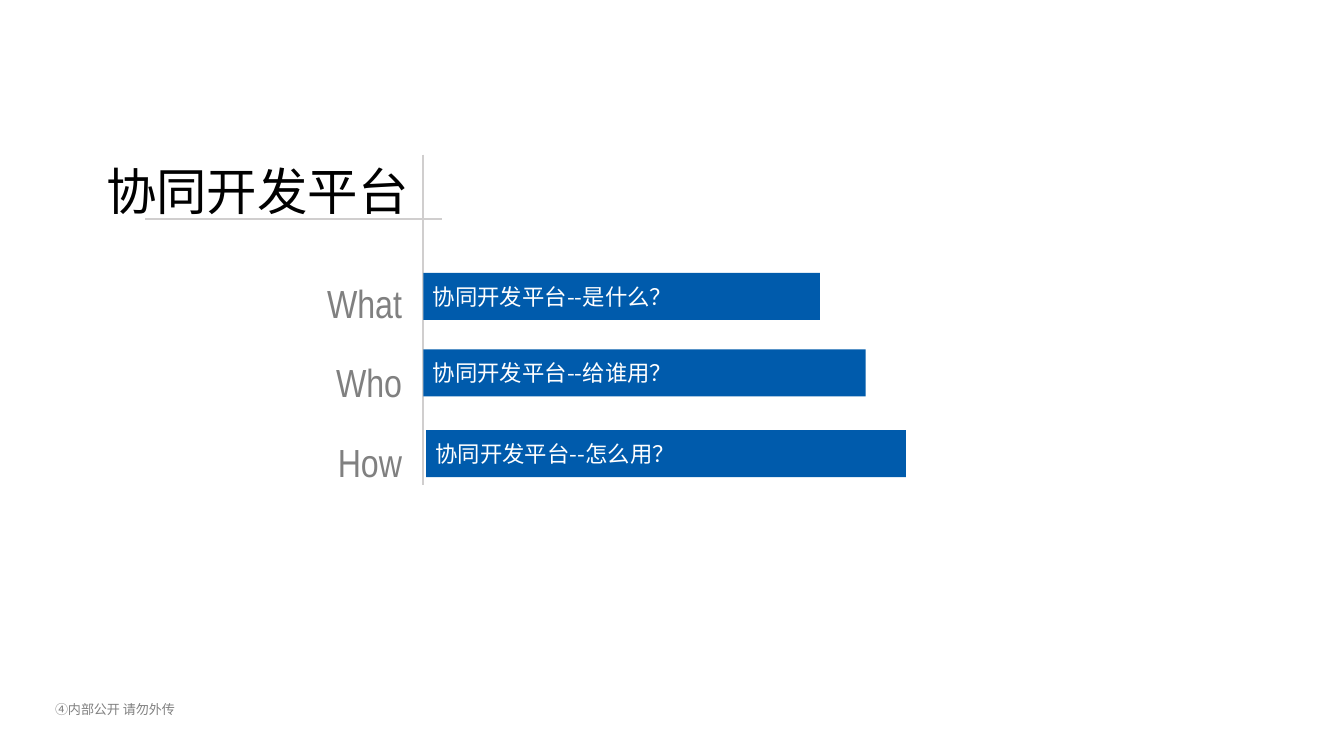
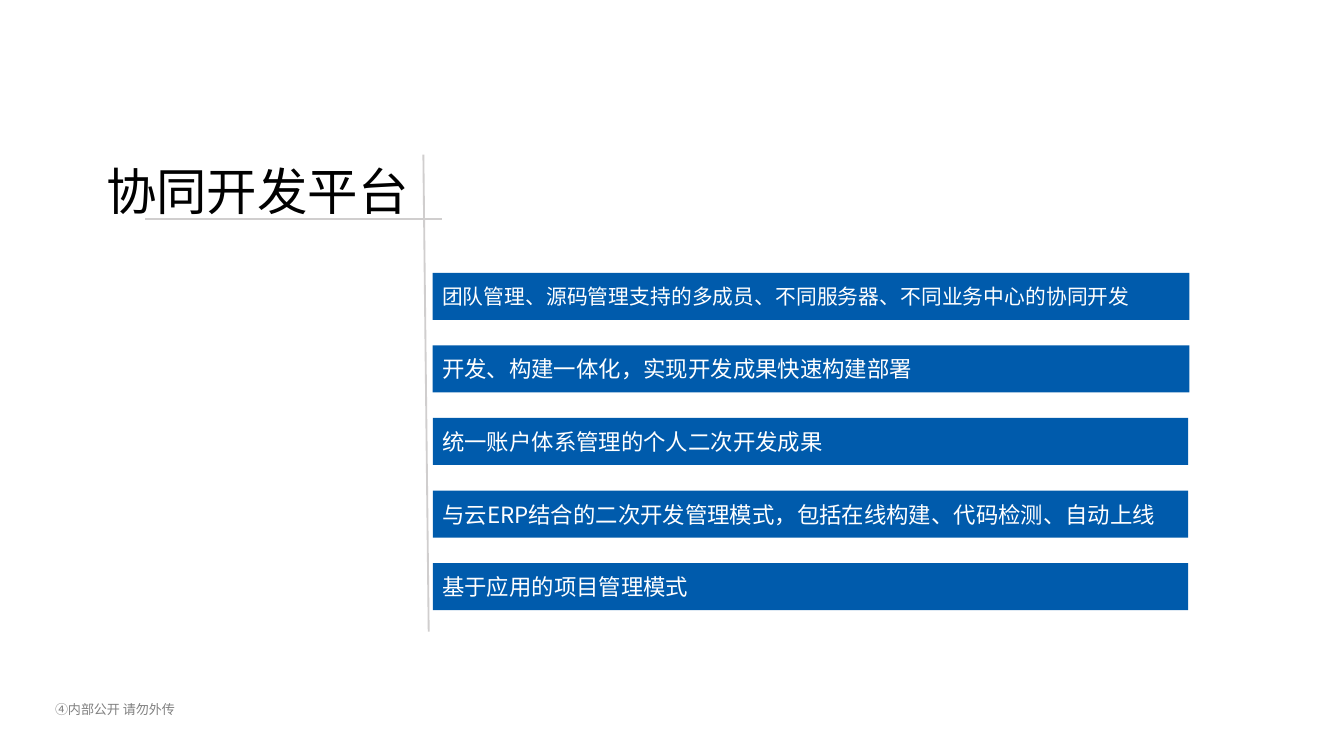
from lxml import etree
from pptx import Presentation
from pptx.dml.color import RGBColor
from pptx.enum.shapes import MSO_CONNECTOR, MSO_SHAPE
from pptx.enum.text import MSO_ANCHOR, MSO_AUTO_SIZE, PP_ALIGN
from pptx.oxml.ns import qn
from pptx.util import Inches, Pt

# Shared style
BLUE = RGBColor(0x00, 0x5B, 0xAC)
GRAY = RGBColor(0x80, 0x80, 0x80)
RULE = RGBColor(0xD0, 0xCE, 0xCE)
BLACK = RGBColor(0x00, 0x00, 0x00)
WHITE = RGBColor(0xFF, 0xFF, 0xFF)
LATIN_FONT = "Arial Narrow"
CHINESE_FONT = "Noto Sans CJK SC"

TITLE = "协同开发平台"
FOOTER = "④内部公开 请勿外传"
AXIS_LEFT, AXIS_TOP = 3.15, 1.15
BAR_TOP, BAR_HEIGHT = 2.03, 0.35

# Slide content: label, label left, label top, label height
QUESTION_LABELS = [
    ("What", 1.45, 1.96, 0.53),
    ("Who", 1.29, 2.55, 0.48),
    ("How", 1.45, 3.14, 0.48),
]
# Question, bar left, bar top, bar width
QUESTION_BARS = [
    ("协同开发平台--是什么？", 3.15, BAR_TOP, 2.95),
    ("协同开发平台--给谁用？", 3.15, 2.6, 3.29),
    ("协同开发平台--怎么用？", 3.17, 3.2, 3.57),
]
# Feature, bar width, text size
FEATURES = [
    ("团队管理、源码管理支持的多成员、不同服务器、不同业务中心的协同开发", 5.63, 11.1),
    ("开发、构建一体化，实现开发成果快速构建部署", 5.63, 12),
    ("统一账户体系管理的个人二次开发成果", 5.62, 12),
    ("与云ERP结合的二次开发管理模式，包括在线构建、代码检测、自动上线", 5.62, 12),
    ("基于应用的项目管理模式", 5.62, 12),
]


def write(shape, text, size, font_name, color, align=PP_ALIGN.LEFT, spacing=None):
    """Fill a shape with one styled paragraph."""
    frame = shape.text_frame
    frame.word_wrap = True
    para = frame.paragraphs[0]
    para.text = text
    para.alignment = align
    para.line_spacing = spacing
    font = para.font
    font.size = Pt(size)
    font.name = font_name
    font.color.rgb = color
    properties = para._p.pPr.find(qn("a:defRPr"))
    etree.SubElement(properties, qn("a:ea")).set("typeface", CHINESE_FONT)
    return frame


def set_insets(frame, horizontal, vertical):
    frame.margin_left = frame.margin_right = Inches(horizontal)
    frame.margin_top = frame.margin_bottom = Inches(vertical)


def add_footer(page):
    box = page.shapes.add_textbox(Inches(0.35), Inches(5.13), Inches(1.77), Inches(0.27))
    frame = write(box, FOOTER, 7, CHINESE_FONT, GRAY, spacing=Pt(10.5))
    frame.vertical_anchor = MSO_ANCHOR.MIDDLE
    set_insets(frame, 0.06, 0.01)


def format_title(page):
    title = page.shapes.title
    title.left, title.top = Inches(0.69), Inches(1.14)
    title.width, title.height = Inches(2.48), Inches(0.44)
    frame = write(title, TITLE, 27, LATIN_FONT, BLACK)
    frame.vertical_anchor = MSO_ANCHOR.TOP
    frame.auto_size = MSO_AUTO_SIZE.NONE


def add_rule(page, start, end):
    rule = page.shapes.add_connector(
        MSO_CONNECTOR.STRAIGHT, *[Inches(value) for value in (*start, *end)])
    rule.line.color.rgb = RULE
    rule.line.width = Pt(1)
    etree.SubElement(rule._element.spPr, qn("a:effectLst"))


def add_label(page, text, left, top, height):
    right = 3.09
    box = page.shapes.add_textbox(
        Inches(left), Inches(top), Inches(right - left), Inches(height))
    frame = write(box, text, 21, LATIN_FONT, GRAY, PP_ALIGN.RIGHT, 1.2)
    frame.auto_size = MSO_AUTO_SIZE.SHAPE_TO_FIT_TEXT


def add_bar(page, text, left, top, width, size=12):
    bar = page.shapes.add_shape(
        MSO_SHAPE.RECTANGLE, Inches(left), Inches(top), Inches(width), Inches(BAR_HEIGHT))
    bar.shadow.inherit = False
    bar.fill.solid()
    bar.fill.fore_color.rgb = BLUE
    bar.line.fill.background()
    frame = write(bar, text, size, CHINESE_FONT, WHITE)
    frame.vertical_anchor = MSO_ANCHOR.MIDDLE
    set_insets(frame, 0.07, 0.04)


def add_page(deck, axis_end):
    """Add a page with footer, title and the crossing rules."""
    page = deck.slides.add_slide(deck.slide_layouts[5])
    add_footer(page)
    format_title(page)
    add_rule(page, (AXIS_LEFT, AXIS_TOP), axis_end)
    add_rule(page, (1.08, 1.63), (3.29, 1.63))
    return page


def main():
    deck = Presentation()
    deck.slide_width = Inches(10)
    deck.slide_height = Inches(10) * 9 // 16

    # What, who and how
    page = add_page(deck, (AXIS_LEFT, 3.61))
    for label in QUESTION_LABELS:
        add_label(page, *label)
    for bar in QUESTION_BARS:
        add_bar(page, *bar)

    # Platform features
    page = add_page(deck, (3.19, 4.7))
    for row, (text, width, size) in enumerate(FEATURES):
        add_bar(page, text, 3.22, BAR_TOP + row * 0.54, width, size)

    deck.save("out.pptx")


if __name__ == "__main__":
    main()
